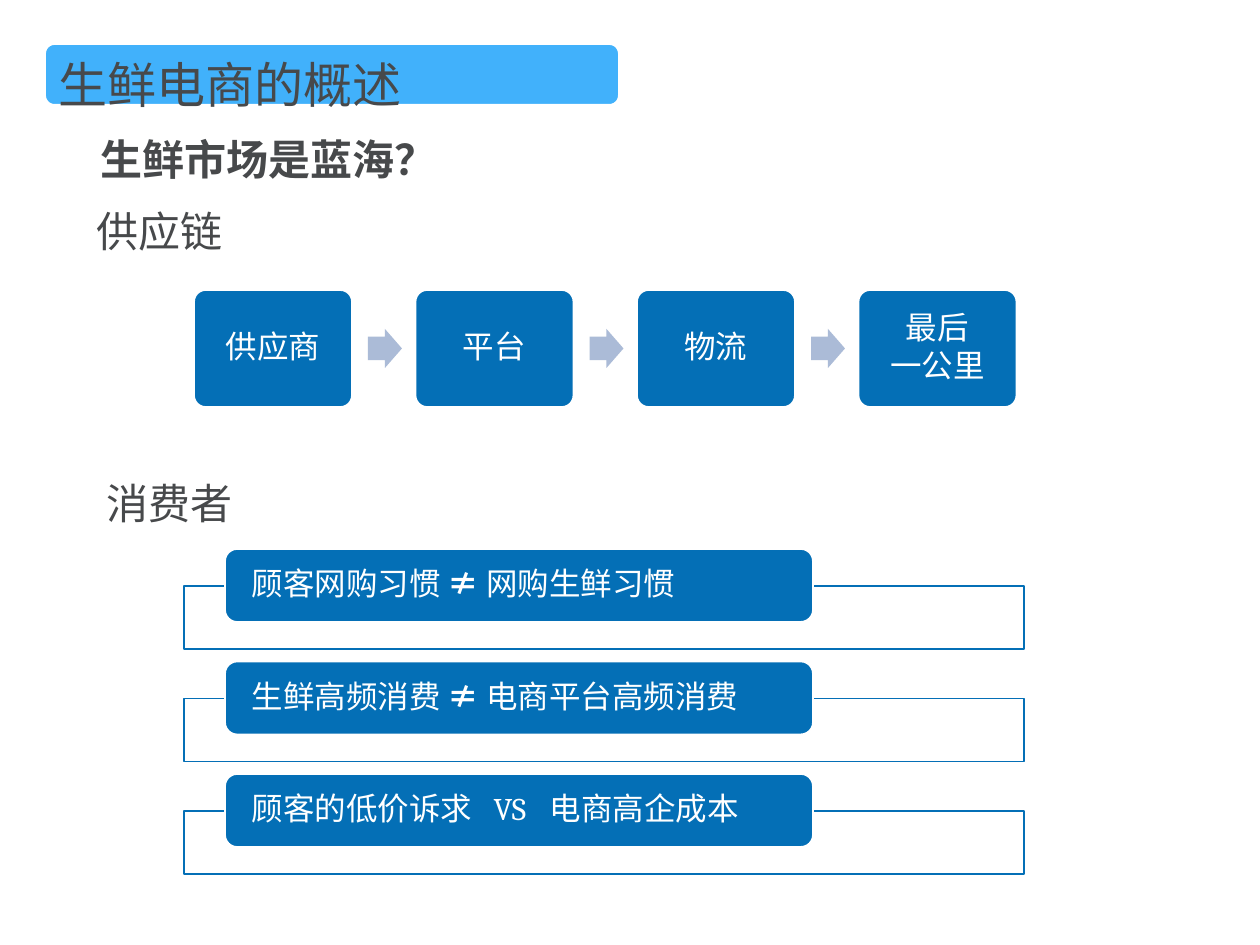
from lxml import etree
from pptx import Presentation
from pptx.dml.color import RGBColor
from pptx.enum.shapes import MSO_SHAPE
from pptx.enum.text import MSO_ANCHOR, PP_ALIGN
from pptx.oxml.ns import qn
from pptx.util import Emu, Pt

SCALE = 914400 / 126
ROUND, RECT, ARROW = MSO_SHAPE.ROUNDED_RECTANGLE, MSO_SHAPE.RECTANGLE, MSO_SHAPE.RIGHT_ARROW
LEFT, CENTER = PP_ALIGN.LEFT, PP_ALIGN.CENTER
TOP, MIDDLE = MSO_ANCHOR.TOP, MSO_ANCHOR.MIDDLE
COLORS = {"banner": "41B1FB", "box": "046FB6", "arrow": "ABBBD7", "text": "47494B", "white": "FFFFFF"}
SANS = "Noto Sans CJK SC"
STEPS = [["供应商"], ["平台"], ["物流"], ["最后", "一公里"]]
CONTRASTS = [
    [("顾客网购习惯 ", SANS, False), ("≠ ", "Calibri", True), ("网购生鲜习惯", SANS, False)],
    [("生鲜高频消费 ", SANS, False), ("≠ ", "Calibri", True), ("电商平台高频消费", SANS, False)],
    [("顾客的低价诉求\t", SANS, False), ("VS\t", "Cambria", False), ("电商高企成本", SANS, False)],
]
CONTRAST_TABS = (242, 298)


def px(n):
    """Turn px into EMU."""
    return Emu(round(n * SCALE))


def rgb(name):
    """Look up a named colour."""
    return RGBColor.from_string(COLORS[name])


def add_box(slide, kind, box, fill, line=None, width=1, adjust=()):
    """Add a flat preset shape."""
    s = slide.shapes.add_shape(kind, *map(px, box))
    s.shadow.inherit = False
    s.fill.solid()
    s.fill.fore_color.rgb = rgb(fill)
    if line:
        s.line.color.rgb = rgb(line)
        s.line.width = Pt(width)
    else:
        s.line.fill.background()
    for i, value in enumerate(adjust):
        s.adjustments[i] = value
    return s


def add_tabs(p, stops):
    """Set left tab stops on a paragraph."""
    tabs = etree.SubElement(p._p.get_or_add_pPr(), qn("a:tabLst"))
    for stop in stops:
        etree.SubElement(tabs, qn("a:tab"), pos=str(px(stop)), algn="l")


def add_run(p, text, font, bold, size, color):
    """Add a formatted run with an East Asian font."""
    r = p.add_run()
    r.text = text
    for name, value in {"name": font, "size": Pt(size), "bold": bold}.items():
        setattr(r.font, name, value)
    r.font.color.rgb = rgb(color)
    etree.SubElement(r.font._element, qn("a:ea"), typeface=SANS)


def write(s, paragraphs, size, color, align=LEFT, anchor=TOP, insets=(13, 6, 13, 6),
          spacing=1.0, after=0, wrap=True, tabs=()):
    """Fill a shape with paragraphs of (text, font, bold) runs."""
    tf = s.text_frame
    left, top, right, bottom = map(px, insets)
    frame = {"word_wrap": wrap, "vertical_anchor": anchor, "margin_left": left,
             "margin_top": top, "margin_right": right, "margin_bottom": bottom}
    for name, value in frame.items():
        setattr(tf, name, value)
    for i, runs in enumerate(paragraphs):
        p = tf.add_paragraph() if i else tf.paragraphs[0]
        for name, value in {"alignment": align, "line_spacing": spacing, "space_after": Pt(after)}.items():
            setattr(p, name, value)
        if tabs:
            add_tabs(p, tabs)
        for run in runs:
            add_run(p, *run, size, color)


def add_label(slide, box, text, size=24, font=SANS, bold=False, **layout):
    """Add a heading in a text box."""
    s = slide.shapes.add_textbox(*map(px, box))
    write(s, [[(text, font, bold)]], size, "text", **layout)


def add_chain(slide):
    """Add the supply chain boxes and the arrows between them."""
    left, top, pitch = 194, 290, 221.5
    for i, lines in enumerate(STEPS):
        x = left + i * pitch
        s = add_box(slide, ROUND, (x, top, 158, 117), "box", "white", adjust=(0.1,))
        write(s, [[(line, "Calibri", False)] for line in lines], 18, "white", CENTER, MIDDLE,
              insets=(9, 9, 9, 9), spacing=0.9, after=2)
        if i < len(STEPS) - 1:
            add_box(slide, ARROW, (x + 174, top + 39, 34, 39), "arrow", adjust=(0.6, 0.5))


def add_contrasts(slide):
    """Add the consumer rows, each a frame with a title tab."""
    for i, runs in enumerate(CONTRASTS):
        top = 549 + i * 112.5
        add_box(slide, RECT, (184, top + 37, 840, 63), "white", "box")
        s = add_box(slide, ROUND, (225, top, 588, 73), "box", "white")
        write(s, [runs], 18, "white", anchor=MIDDLE, insets=(23, 0, 23, 0), spacing=0.9,
              tabs=CONTRAST_TABS if "\t" in runs[0][0] else ())


def main():
    """Build the slide."""
    prs = Presentation()
    prs.slide_width, prs.slide_height = px(1260), px(945)
    slide = prs.slides.add_slide(prs.slide_layouts[6])
    add_label(slide, (88, 112, 364, 79), "生鲜市场是蓝海？", font="Arial", bold=True,
              spacing=1.3, wrap=False)
    add_box(slide, ROUND, (44, 43, 576, 63), "banner", "white", 2.25)
    add_label(slide, (54, 37, 645, 78), "生鲜电商的概述", 28, insets=(5, 0, 0, 0), spacing=1.3)
    add_label(slide, (84, 200, 179, 63), "供应链")
    add_chain(slide)
    add_label(slide, (94, 472, 179, 63), "消费者")
    add_contrasts(slide)
    prs.save("out.pptx")


if __name__ == "__main__":
    main()
